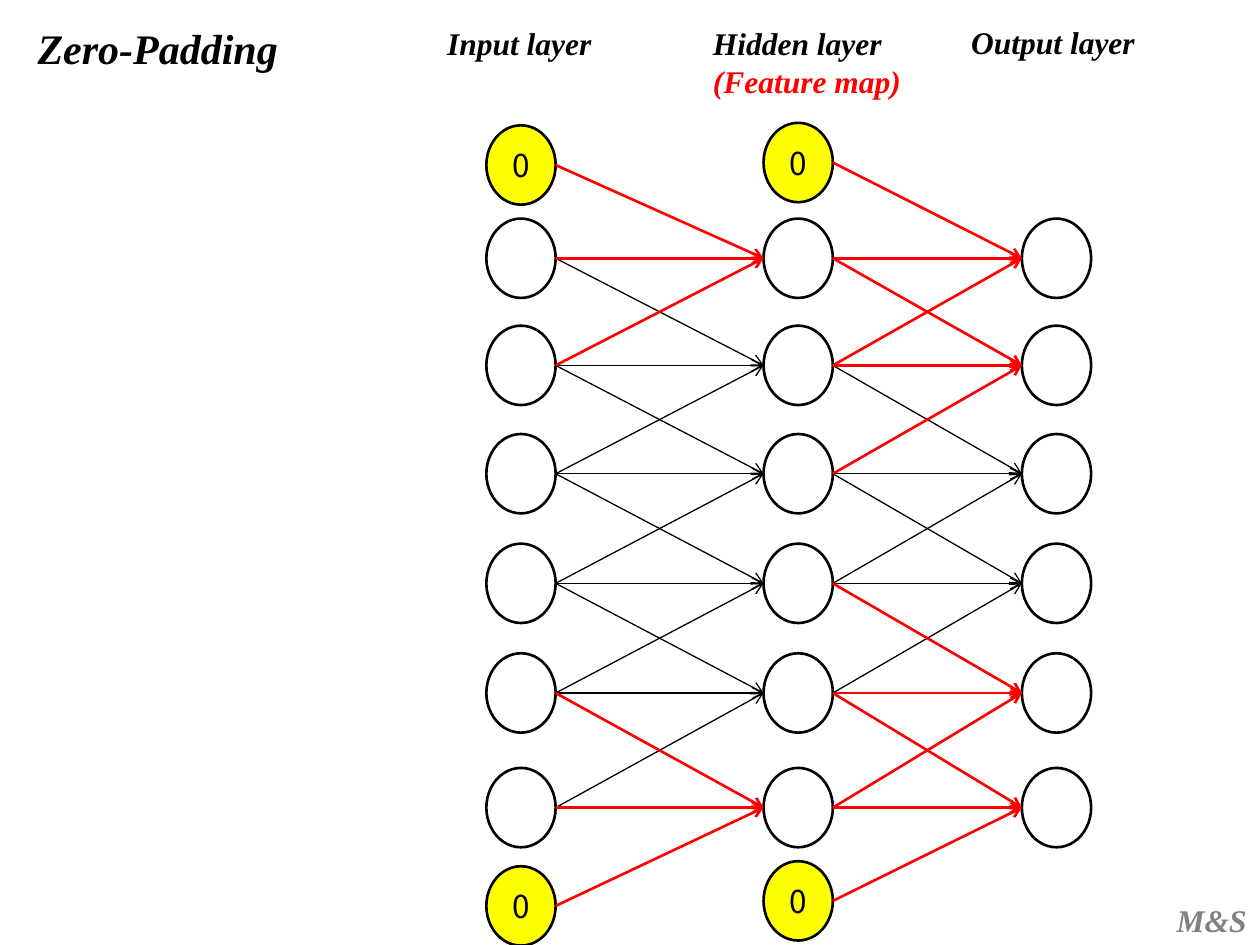
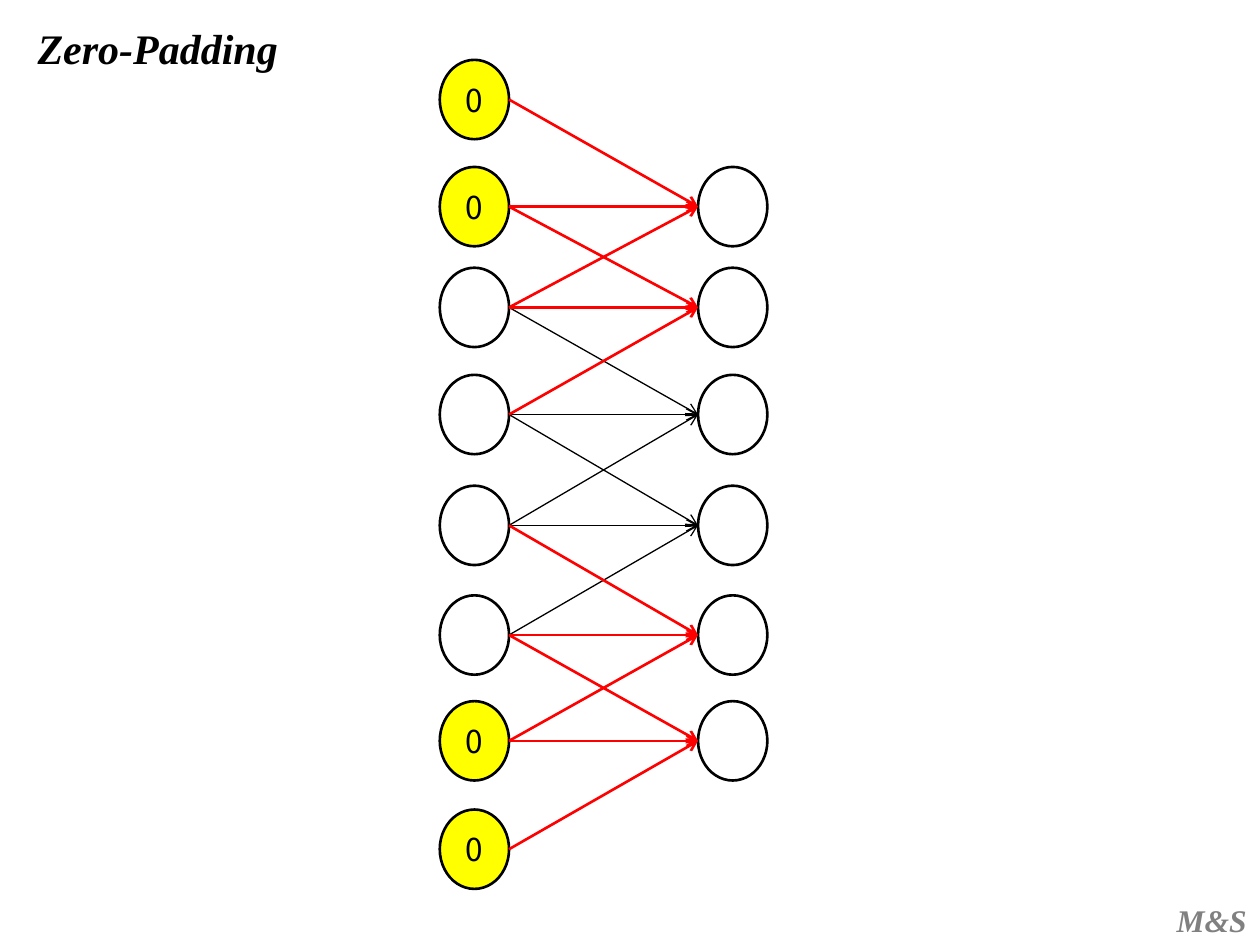
"""Builds two slides that show zero-padding between network layers."""
from dataclasses import dataclass

from lxml import etree
from pptx import Presentation
from pptx.dml.color import RGBColor
from pptx.enum import shapes, text
from pptx.oxml import ns
from pptx import util as u


@dataclass(frozen=True)
class Theme:
    """Colours, fonts, type sizes and line widths of the deck."""
    ink: str = "000000"
    paper: str = "FFFFFF"
    accent: str = "FF0000"
    padding: str = "FFFF00"
    muted: str = "808080"
    heading_font: str = "Times New Roman"
    node_font: str = "Noto Sans CJK KR"
    title_size: int = 24
    text_size: int = 18
    thin: float = 0.75
    thick: float = 1.5


@dataclass(frozen=True)
class Layer:
    """One column of nodes: left edge, node centres and zeros at each end."""
    left: float
    rows: tuple
    zeros: int = 0

    def is_zero(self, index):
        """Tell whether the node is padding."""
        return index < self.zeros or index >= len(self.rows) - self.zeros


THEME = Theme()
NODE_WIDTH, NODE_HEIGHT = 0.55, 0.63
KERNEL = 3
ROWS = (2.05, 2.9, 3.76, 4.63, 5.5, 6.41)
SHORT_ROWS = (1.64, 2.44, 3.29, 4.17, 5.04, 5.88)


def style_font(font, size, colour, name, heading=True):
    """Set size, colour and face of a font."""
    font.size = u.Pt(size)
    font.name = name
    font.color.rgb = RGBColor.from_string(colour)
    font.bold = font.italic = heading


def add_heading(page, place, lines, size=THEME.text_size, wrap=False):
    """Add a bold italic text box with one paragraph per (words, colour)."""
    box = page.shapes.add_textbox(*map(u.Inches, place))
    frame = box.text_frame
    frame.word_wrap = wrap
    frame.auto_size = text.MSO_AUTO_SIZE.SHAPE_TO_FIT_TEXT
    for index, (words, colour) in enumerate(lines):
        para = frame.add_paragraph() if index else frame.paragraphs[0]
        para.text = words
        style_font(para.font, size, colour, THEME.heading_font)


def add_node(page, left, centre, zero):
    """Add one neuron, or a yellow zero for padding."""
    place = (left, centre - NODE_HEIGHT / 2, NODE_WIDTH, NODE_HEIGHT)
    node = page.shapes.add_shape(shapes.MSO_SHAPE.OVAL, *map(u.Inches, place))
    node.shadow.inherit = False
    node.fill.solid()
    node.fill.fore_color.rgb = RGBColor.from_string(
        THEME.padding if zero else THEME.paper)
    node.line.color.rgb = RGBColor.from_string(THEME.ink)
    node.line.width = u.Pt(THEME.thick)
    if zero:
        node.text_frame.vertical_anchor = text.MSO_ANCHOR.MIDDLE
        para = node.text_frame.paragraphs[0]
        para.text = "0"
        para.alignment = text.PP_ALIGN.CENTER
        style_font(para.font, THEME.text_size, THEME.ink, THEME.node_font, False)


def add_arrow(page, start, end, strong):
    """Add an open-headed arrow, red and thick when strong."""
    arrow = page.shapes.add_connector(
        shapes.MSO_CONNECTOR.STRAIGHT, *map(u.Inches, start + end))
    arrow.line.color.rgb = RGBColor.from_string(
        THEME.accent if strong else THEME.ink)
    arrow.line.width = u.Pt(THEME.thick if strong else THEME.thin)
    etree.SubElement(arrow.line._get_or_add_ln(), ns.qn("a:tailEnd"), type="arrow")
    etree.SubElement(arrow._element.spPr, ns.qn("a:effectLst"))


def stage_edges(source, target, depth):
    """List (start, end, strong) for a kernel that slides down the source."""
    centres = [row for index, row in enumerate(target.rows)
               if not target.is_zero(index)]
    edges = []
    for index, centre in enumerate(centres):
        strong = index < depth or index >= len(centres) - depth
        for row in source.rows[index:index + KERNEL]:
            edges.append(((source.left + NODE_WIDTH, row),
                          (target.left, centre), strong))
    return edges


def add_network(page, layers, depths):
    """Draw the layers and their edges, with red edges on top."""
    for layer in layers:
        for index, row in enumerate(layer.rows):
            add_node(page, layer.left, row, layer.is_zero(index))
    edges = [edge for source, target, depth in zip(layers, layers[1:], depths)
             for edge in stage_edges(source, target, depth)]
    for edge in sorted(edges, key=lambda edge: edge[2]):
        add_arrow(page, *edge)


def add_page(deck):
    """Add a blank page with the shared mark and title."""
    page = deck.slides.add_slide(deck.slide_layouts[6])
    add_heading(page, (9.24, 7.1, 0.76, 0.4), [("M&S", THEME.muted)])
    add_heading(page, (0.2, 0.13, 8.9, 0.5), [("Zero-Padding", THEME.ink)],
                THEME.title_size, wrap=True)
    return page


def add_three_layers(deck):
    """Show padding of the input and hidden layers."""
    page = add_page(deck)
    add_network(page, [Layer(3.86, (1.31, *ROWS, 7.19), 1),
                       Layer(6.06, (1.29, *ROWS, 7.15), 1),
                       Layer(8.11, ROWS)], depths=(1, 2))
    add_heading(page, (3.45, 0.14, 1.36, 0.4), [("Input layer", THEME.ink)])
    add_heading(page, (5.56, 0.14, 1.71, 0.71),
                [("Hidden layer", THEME.ink), ("(Feature map)", THEME.accent)])
    add_heading(page, (7.61, 0.13, 1.51, 0.4), [("Output layer", THEME.ink)])


def add_two_layers(deck):
    """Show two zeros of padding at each end of one layer."""
    add_network(add_page(deck), [Layer(3.49, (0.79, *SHORT_ROWS, 6.74), 2),
                                 Layer(5.54, SHORT_ROWS)], depths=(2,))


def main():
    """Build and save the deck."""
    deck = Presentation()
    deck.slide_width, deck.slide_height = u.Inches(10), u.Inches(7.5)
    add_three_layers(deck)
    add_two_layers(deck)
    deck.save("out.pptx")


main()
